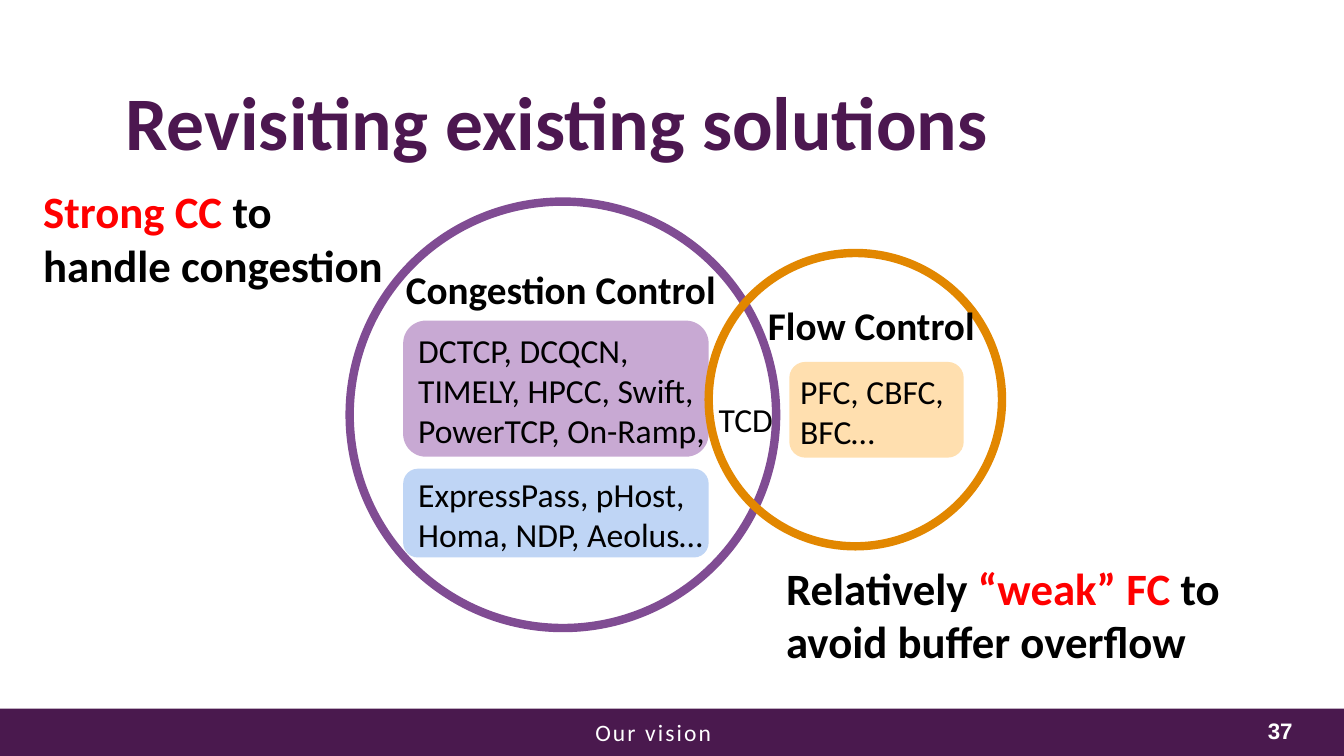
from pptx import Presentation
from pptx.dml.color import RGBColor
from pptx.enum.shapes import MSO_SHAPE
from pptx.enum.text import MSO_ANCHOR, MSO_AUTO_SIZE, PP_ALIGN
from pptx.util import Pt

WIDTH, HEIGHT = 960, 540
PURPLE, RED, BLACK, WHITE = "4A194E", "FF0000", "000000", "FFFFFF"


def color(value):
    """Turn a hex string into a colour."""
    return RGBColor.from_string(value)


def format_run(r, size, fill=BLACK, bold=False, name="Calibri"):
    """Set the font of one run."""
    r.font.name, r.font.size, r.font.bold = name, Pt(size), bold
    r.font.color.rgb = color(fill)


def add_shape(s, kind, x, y, w, h, fill=None, line=None):
    """Add a filled or outlined shape."""
    sp = s.shapes.add_shape(kind, Pt(x), Pt(y), Pt(w), Pt(h))
    sp.shadow.inherit = False
    if fill:
        sp.fill.solid()
        sp.fill.fore_color.rgb = color(fill)
    else:
        sp.fill.background()
    if line:
        sp.line.color.rgb = color(line)
        sp.line.width = Pt(6)
    else:
        sp.line.fill.background()
    return sp


def add_text(s, x, y, w, h, parts, size, bold=False, name="Calibri"):
    """Add a wrapped paragraph of (text, colour) parts and return it with its frame."""
    tf = s.shapes.add_textbox(Pt(x), Pt(y), Pt(w), Pt(h)).text_frame
    tf.word_wrap = True
    p = tf.paragraphs[0]
    for text, fill in parts:
        r = p.add_run()
        r.text = text
        format_run(r, size, fill, bold, name)
    return tf, p


def add_title(s, x, y, w, h):
    """Place and format the title."""
    sp = s.shapes.title
    sp.left, sp.top, sp.width, sp.height = Pt(x), Pt(y), Pt(w), Pt(h)
    tf = sp.text_frame
    tf.text = "Revisiting existing solutions"
    tf.auto_size = MSO_AUTO_SIZE.NONE
    tf.vertical_anchor = MSO_ANCHOR.TOP
    p = tf.paragraphs[0]
    p.alignment = PP_ALIGN.CENTER
    format_run(p.runs[0], 54, "4C1750", True)


def add_footer(s, x, y, w, h):
    """Draw the footer bar with the section name and page number."""
    add_shape(s, MSO_SHAPE.RECTANGLE, x, y, w, h, PURPLE)
    tf, p = add_text(s, x + 364.3, y + 1.4, 204.5, 31, [("Our vision", WHITE)], 16.8)
    p.alignment = PP_ALIGN.CENTER
    p.line_spacing = 1.1
    p.space_after = Pt(10)
    p.runs[0].font._element.set("spc", "150")
    tf, p = add_text(s, x + w - 242, y + 2.9, 212.4, 25.2, [("37", WHITE)], 16, True, "Arial")
    tf.vertical_anchor = MSO_ANCHOR.MIDDLE
    p.alignment = PP_ALIGN.RIGHT


def add_congestion(s, x, y, d):
    """Draw the congestion control circle with its two groups of protocols."""
    add_text(s, x - 226, y - 16, 266.4, 85,
             [("Strong CC ", RED), ("to handle congestion", BLACK)], 32, True)
    add_shape(s, MSO_SHAPE.OVAL, x, y, d, d, line="804C93")
    add_text(s, x + 33.1, y + 41.8, 255, 41, [("Congestion Control", BLACK)], 28, True)
    groups = [
        (85, 97.2, 2.9, "C8A9D3", "DCTCP, DCQCN, TIMELY, HPCC, Swift, PowerTCP, On-Ramp,"),
        (190.8, 63.4, 0, "BFD5F5", "ExpressPass, pHost, Homa, NDP, Aeolus…"),
    ]
    for top, h, pad, fill, text in groups:
        add_shape(s, MSO_SHAPE.ROUNDED_RECTANGLE, x + 38.2, y + top, 218.2, h, fill)
        add_text(s, x + 41.8, y + top + pad, 226, h, [(text, BLACK)], 24)


def add_flow(s, x, y, d):
    """Draw the flow control circle with its protocols and the shared one."""
    add_text(s, x + 48.2, y + 216, 327, 85,
             [("Relatively ", BLACK), ("“weak” FC ", RED),
              ("to avoid buffer overflow", BLACK)], 32, True)
    add_shape(s, MSO_SHAPE.ROUNDED_RECTANGLE, x + 57.6, y + 77.8, 124.6, 68.4, "FFDFAF")
    add_shape(s, MSO_SHAPE.OVAL, x, y, d, d, line="E28700")
    add_text(s, x + 35.3, y + 31, 204.5, 41, [("Flow Control", BLACK)], 28, True)
    add_text(s, x + 58.3, y + 80.6, 160.6, 65.5, [("PFC, CBFC, BFC…", BLACK)], 24)
    add_text(s, x, y + 100.8, 56.2, 36, [("TCD", BLACK)], 24)


def main():
    """Build and save the slide."""
    prs = Presentation()
    prs.slide_width, prs.slide_height = Pt(WIDTH), Pt(HEIGHT)
    s = prs.slides.add_slide(prs.slide_layouts[5])
    add_footer(s, 0, 506.2, WIDTH, 33.8)
    add_title(s, 67.7, 49.7, 660.2, 72.7)
    add_congestion(s, 249.8, 144, 304.6)
    add_flow(s, 506.2, 180.7, 209.5)
    prs.save("out.pptx")


if __name__ == "__main__":
    main()
